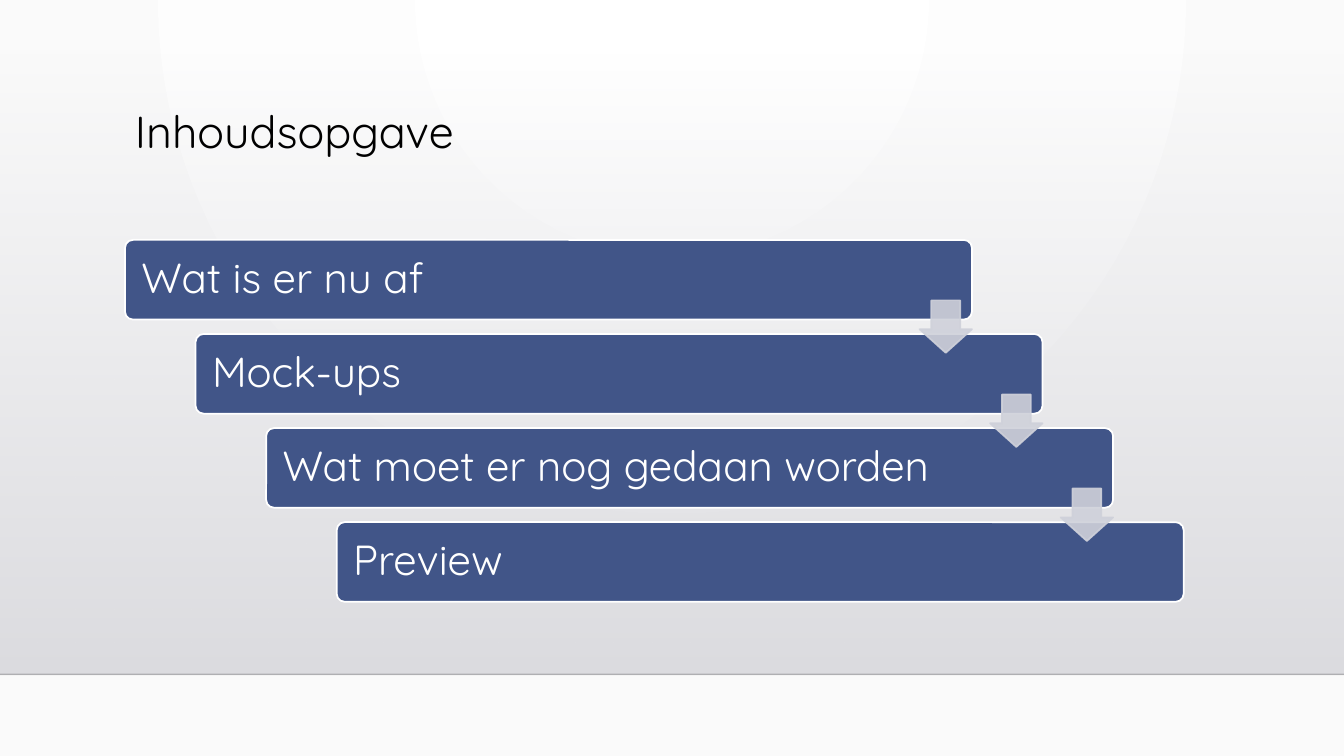
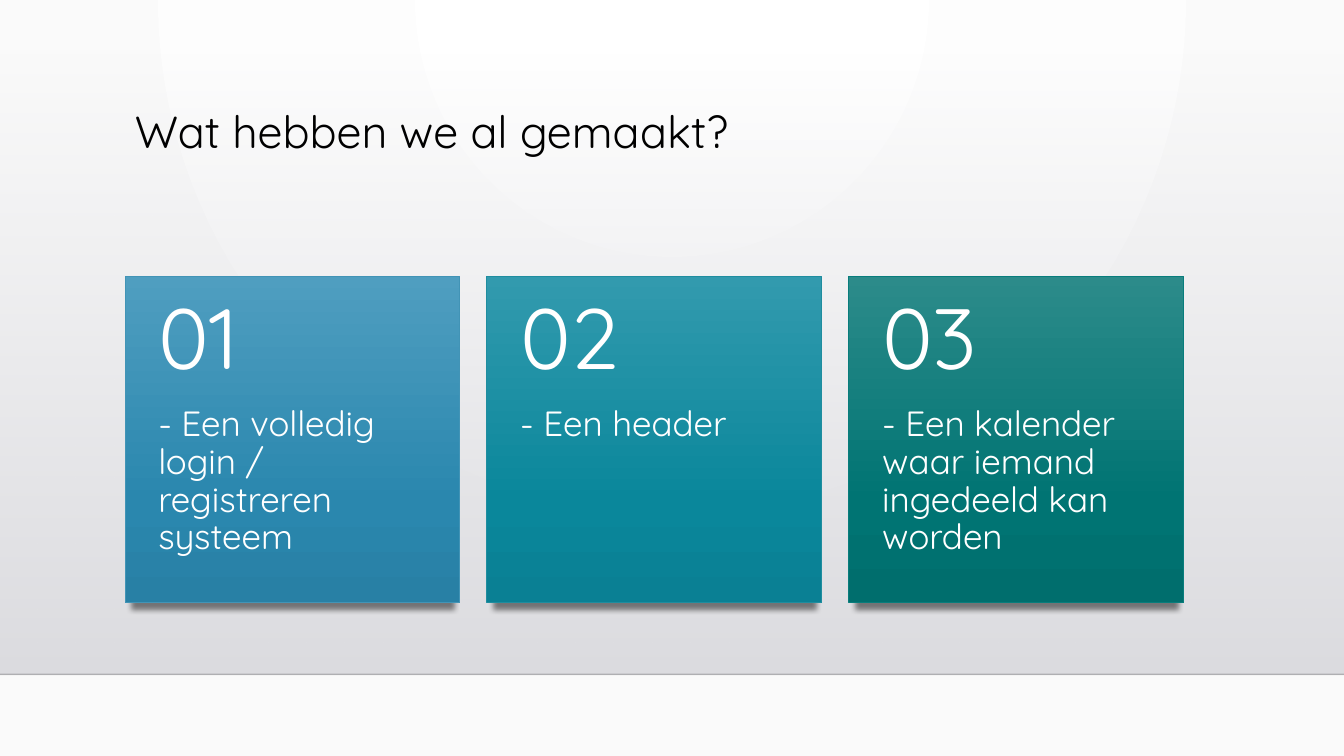
from dataclasses import dataclass

from lxml import etree
from pptx import Presentation, util as u
from pptx.dml.color import RGBColor
from pptx.enum import shapes, text
from pptx.oxml import parse_xml
from pptx.oxml.ns import nsdecls, qn

FONT = "Quicksand"
WHITE, BLACK = "FFFFFF", "000000"
BLUE, GREY = "415588", "CFD1DA"
LEFT, WIDE = 1.24, 13.33
DOWN = '<a:lin ang="5400000" scaled="0"/>'
GLOW = ('<a:path path="circle"><a:fillToRect l="43000" t="0" '
        'r="43000" b="100000"/></a:path>')


@dataclass(frozen=True)
class Stop:
    pos: int
    color: str
    alpha: int = 100


@dataclass(frozen=True)
class Card:
    label: str
    body: str
    stops: tuple[Stop, ...]
    edge: str


CARDS = (
    Card("01", "- Een volledig login / registreren systeem",
         (Stop(0, "4F9EC0"), Stop(69, "2A87AE"), Stop(100, "2880A5")), "4294B6"),
    Card("02", "- Een header",
         (Stop(0, "329AAE"), Stop(69, "0A879B"), Stop(100, "0A8094")), "1F8D9F"),
    Card("03", "- Een kalender waar iemand ingedeeld kan worden",
         (Stop(0, "2C8B8A"), Stop(69, "007473"), Stop(100, "006E6D")), "087D7C"),
)
TOPICS = ("Wat is er nu af", "Mock-ups", "Wat moet er nog gedaan worden", "Preview")


def paint(target, color: str, alpha: int = 100) -> None:
    target.solid()
    target.fore_color.rgb = RGBColor.from_string(color)
    if alpha < 100:
        node = target._xPr.find(".//" + qn("a:srgbClr"))
        etree.SubElement(node, qn("a:alpha")).set("val", str(alpha * 1000))


def outline(line, color: str, width: float, alpha: int = 100) -> None:
    line.width = u.Pt(width)
    paint(line.fill, color, alpha)


def blend(fill, props, stops: tuple[Stop, ...], way: str) -> None:
    fill.background()
    marks = "".join(
        f'<a:gs pos="{s.pos * 1000}"><a:srgbClr val="{s.color}">'
        f'<a:alpha val="{s.alpha * 1000}"/></a:srgbClr></a:gs>' for s in stops)
    node = parse_xml(f'<a:gradFill {nsdecls("a")} rotWithShape="1">'
                     f'<a:gsLst>{marks}</a:gsLst>{way}</a:gradFill>')
    props.replace(props.find(qn("a:noFill")), node)


def shade(shape) -> None:
    props = shape._element.spPr
    props.remove(props.find(qn("a:effectLst")))
    props.append(parse_xml(
        f'<a:effectLst {nsdecls("a")}><a:outerShdw blurRad="50800" dist="50800" '
        'dir="5400000" sx="96000" sy="96000" rotWithShape="0">'
        f'<a:srgbClr val="{BLACK}"><a:alpha val="48000"/></a:srgbClr>'
        '</a:outerShdw></a:effectLst>'))


def write(shape, words: str, size: int, color: str, inset: tuple, middle: bool) -> None:
    frame = shape.text_frame
    frame.word_wrap = True
    frame.vertical_anchor = text.MSO_ANCHOR.MIDDLE if middle else text.MSO_ANCHOR.TOP
    (frame.margin_left, frame.margin_top,
     frame.margin_right, frame.margin_bottom) = map(u.Inches, inset)
    par = frame.paragraphs[0]
    par.text = words
    par.alignment = text.PP_ALIGN.LEFT
    par.line_spacing = 0.9
    par.font.name = FONT
    par.font.size = u.Pt(size)
    par.font.color.rgb = RGBColor.from_string(color)


def shape_at(slide, kind, *box: float):
    shape = slide.shapes.add_shape(kind, *map(u.Inches, box))
    shape.shadow.inherit = False
    return shape


def label_at(slide, *box: float):
    return slide.shapes.add_textbox(*map(u.Inches, box))


def start(deck, title: str):
    slide = deck.slides.add_slide(deck.slide_layouts[6])
    fill = slide.background.fill
    blend(fill, slide.element.find(".//" + qn("p:bgPr")),
          (Stop(0, WHITE), Stop(100, "FAFAFA")), GLOW)
    band = shape_at(slide, shapes.MSO_SHAPE.RECTANGLE, 0, 0.51, WIDE, 6.18)
    blend(band.fill, band._element.spPr,
          (Stop(0, "DCDCE0", 0), Stop(100, "DEDEE2")), DOWN)
    band.line.fill.background()
    rule = slide.shapes.add_connector(
        shapes.MSO_CONNECTOR.STRAIGHT, *map(u.Inches, (0, 6.69, WIDE, 6.69)))
    outline(rule.line, BLACK, 1, 20)
    etree.SubElement(rule._element.spPr, qn("a:effectLst"))
    write(label_at(slide, LEFT, 1.04, 10.5, 1.15), title, 32, BLACK,
          (0.1, 0.05, 0.1, 0.05), False)
    return slide


def agenda(deck) -> None:
    slide = start(deck, "Inhoudsopgave")
    spots = [(LEFT + 0.7 * i, 2.38 + 2.8 / 3 * i) for i in range(len(TOPICS))]
    for topic, (x, y) in zip(TOPICS, spots):
        bar = shape_at(slide, shapes.MSO_SHAPE.ROUNDED_RECTANGLE, x, y, 8.4, 0.79)
        bar.adjustments[0] = 0.1
        paint(bar.fill, BLUE)
        outline(bar.line, WHITE, 1.25)
        write(bar, topic, 30, WHITE, (0.14, 0.12, 0.9, 0.12), True)
    for x, y in spots[:-1]:
        arrow = shape_at(slide, shapes.MSO_SHAPE.DOWN_ARROW, x + 7.88, y + 0.6, 0.52, 0.52)
        arrow.adjustments[0], arrow.adjustments[1] = 0.55, 0.45
        paint(arrow.fill, GREY, 90)
        outline(arrow.line, GREY, 1.25, 90)


def results(deck) -> None:
    slide = start(deck, "Wat hebben we al gemaakt?")
    for i, card in enumerate(CARDS):
        x, y, width = LEFT + 3.59 * i, 2.74, 3.32
        tile = shape_at(slide, shapes.MSO_SHAPE.RECTANGLE, x, y, width, 3.24)
        blend(tile.fill, tile._element.spPr, card.stops, DOWN)
        outline(tile.line, card.edge, 0.75)
        shade(tile)
        write(tile, card.body, 25, WHITE, (0.33, 1.29, 0.33, 0.36), False)
        write(label_at(slide, x, y, width, 1.3), card.label, 61, WHITE,
              (0.33, 0.18, 0.33, 0.18), True)


def main() -> None:
    deck = Presentation()
    deck.slide_width, deck.slide_height = u.Inches(WIDE), u.Inches(7.5)
    agenda(deck)
    results(deck)
    deck.save("out.pptx")


if __name__ == "__main__":
    main()
